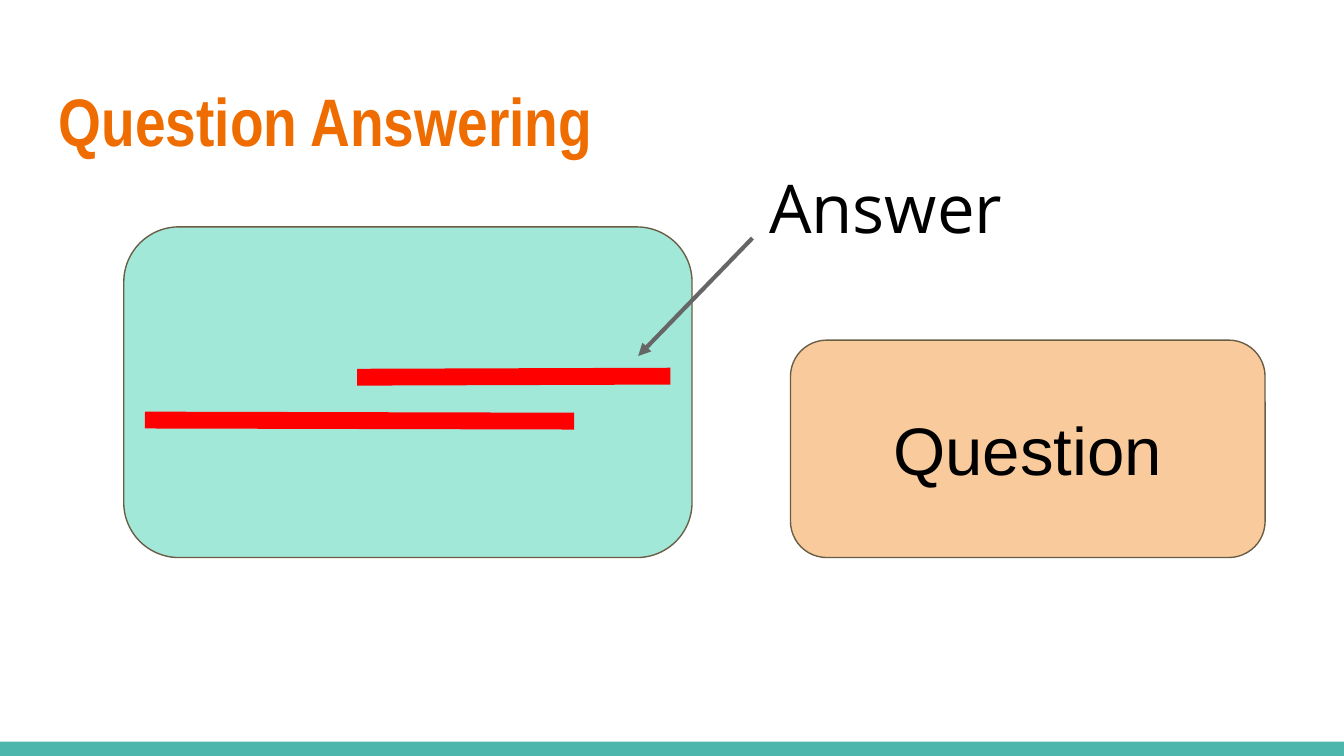
from dataclasses import dataclass
from typing import NamedTuple

from lxml.etree import SubElement
from pptx import Presentation
from pptx.dml.color import RGBColor
from pptx.enum.shapes import MSO_CONNECTOR, MSO_SHAPE
from pptx.enum.text import MSO_ANCHOR, PP_ALIGN
from pptx.oxml.ns import qn
from pptx.util import Cm, Pt


@dataclass(frozen=True)
class Theme:
    footer: str = "4DB6AC"
    title: str = "EF6C00"
    passage: str = "A1E8D9"
    question: str = "F9CB9C"
    outline: str = "695D46"
    highlight: str = "FF0000"
    arrow: str = "666666"
    text: str = "000000"
    title_font: str = "Arial Narrow"
    question_font: str = "Arial"
    answer_font: str = "Open Sans"
    text_size: float = 36
    outline_width: float = 0.75
    highlight_width: float = 9
    arrow_width: float = 2.25
    inset: float = 0.25


class Box(NamedTuple):
    """Left, top, width and height in centimetres."""
    left: float
    top: float
    width: float
    height: float

    def lengths(self) -> list:
        return [Cm(value) for value in self]


class Stroke(NamedTuple):
    """Start and end points in centimetres, with the line's look."""
    start: tuple
    end: tuple
    color: str
    width: float
    arrowhead: bool = False


THEME = Theme()


def add_panel(slide, shape_type, box: Box, fill: str, outline: str = ""):
    panel = slide.shapes.add_shape(shape_type, *box.lengths())
    panel.shadow.inherit = False
    panel.fill.solid()
    panel.fill.fore_color.rgb = RGBColor.from_string(fill)
    if outline:
        panel.line.color.rgb = RGBColor.from_string(outline)
        panel.line.width = Pt(THEME.outline_width)
    else:
        panel.line.fill.background()
    return panel


def write(shape, wording: str, font: str, color: str, anchor=MSO_ANCHOR.TOP,
          align=PP_ALIGN.CENTER, bold: bool = False) -> None:
    frame = shape.text_frame
    frame.text = wording
    frame.word_wrap = True
    frame.vertical_anchor = anchor
    frame.margin_left = frame.margin_right = Cm(THEME.inset)
    frame.margin_top = frame.margin_bottom = Cm(THEME.inset)
    paragraph = frame.paragraphs[0]
    paragraph.alignment = align
    style = paragraph.runs[0].font
    style.name = font
    style.size = Pt(THEME.text_size)
    style.bold = bold
    style.color.rgb = RGBColor.from_string(color)


def add_stroke(slide, stroke: Stroke) -> None:
    ends = [Cm(value) for value in stroke.start + stroke.end]
    connector = slide.shapes.add_connector(MSO_CONNECTOR.STRAIGHT, *ends)
    connector.line.color.rgb = RGBColor.from_string(stroke.color)
    connector.line.width = Pt(stroke.width)
    properties = connector._element.spPr
    if stroke.arrowhead:
        SubElement(properties.find(qn("a:ln")), qn("a:tailEnd"), type="triangle")
    SubElement(properties, qn("a:effectLst"))


def main() -> None:
    presentation = Presentation()
    presentation.slide_width, presentation.slide_height = Cm(25.4), Cm(14.29)
    slide = presentation.slides.add_slide(presentation.slide_layouts[5])

    # Footer band
    add_panel(slide, MSO_SHAPE.RECTANGLE, Box(0, 14.02, 25.4, 0.27), THEME.footer)

    # Title
    title = slide.shapes.title
    title.left, title.top, title.width, title.height = Box(0.86, 1.24, 23.67, 1.96).lengths()
    write(title, "Question Answering", THEME.title_font, THEME.title,
          align=PP_ALIGN.LEFT, bold=True)

    # Passage and question
    add_panel(slide, MSO_SHAPE.ROUNDED_RECTANGLE, Box(2.34, 4.29, 10.74, 6.25),
              THEME.passage, THEME.outline)
    question = add_panel(slide, MSO_SHAPE.ROUNDED_RECTANGLE, Box(14.94, 6.43, 8.97, 4.11),
                         THEME.question, THEME.outline)
    write(question, "Question", THEME.question_font, THEME.text, MSO_ANCHOR.MIDDLE)

    # Highlighted answer span and the arrow to it
    for stroke in (
        Stroke((6.75, 7.13), (12.67, 7.11), THEME.highlight, THEME.highlight_width),
        Stroke((2.74, 7.94), (10.85, 7.96), THEME.highlight, THEME.highlight_width),
        Stroke((14.22, 4.5), (12.06, 6.73), THEME.arrow, THEME.arrow_width, True),
    ):
        add_stroke(slide, stroke)

    # Answer label
    answer = slide.shapes.add_textbox(*Box(13.92, 2.9, 5.64, 2.06).lengths())
    write(answer, "Answer", THEME.answer_font, THEME.text)

    presentation.save("out.pptx")


if __name__ == "__main__":
    main()
